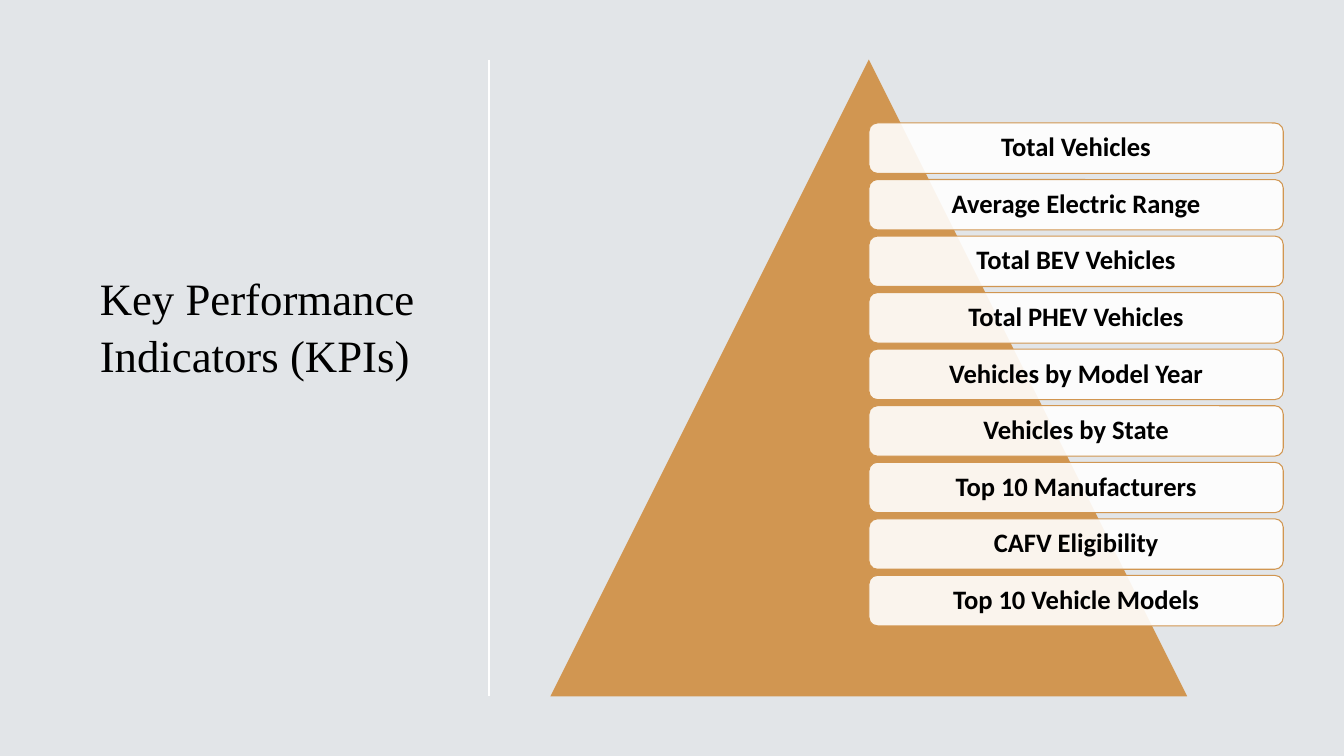
from lxml.etree import SubElement
from pptx import Presentation
from pptx.dml.color import RGBColor
from pptx.enum.shapes import MSO_CONNECTOR, MSO_SHAPE
from pptx.enum.text import MSO_ANCHOR, MSO_AUTO_SIZE, PP_ALIGN
from pptx.oxml.ns import qn
from pptx.util import Cm, Pt

INDICATORS = [
    "Total Vehicles",
    "Average Electric Range",
    "Total BEV Vehicles",
    "Total PHEV Vehicles",
    "Vehicles by Model Year",
    "Vehicles by State",
    "Top 10 Manufacturers",
    "CAFV Eligibility",
    "Top 10 Vehicle Models",
]


def color(hex_code):
    return RGBColor.from_string(hex_code)


def write(shape, text, font, size, bold=False, align=PP_ALIGN.LEFT,
          anchor=MSO_ANCHOR.TOP, spacing=1.0, ink="000000"):
    frame = shape.text_frame
    frame.word_wrap = True
    frame.auto_size = MSO_AUTO_SIZE.NONE
    frame.vertical_anchor = anchor
    para = frame.paragraphs[0]
    para.alignment = align
    para.line_spacing = spacing
    span = para.add_run()
    span.text = text
    span.font.name = font
    span.font.size = Pt(size)
    span.font.bold = bold
    span.font.color.rgb = color(ink)


class SlideBuilder:
    paper = "E2E5E8"
    white = "FFFFFF"
    accent = "D19651"
    title_font = "Times New Roman"
    label_font = "Calibri"

    def __init__(self, deck):
        self.page = deck.slides.add_slide(deck.slide_layouts[5])
        background = self.page.background.fill
        background.solid()
        background.fore_color.rgb = color(self.paper)

    def title(self, text, left, top, width, height):
        box = self.page.shapes.title
        box.left, box.top = Cm(left), Cm(top)
        box.width, box.height = Cm(width), Cm(height)
        write(box, text, self.title_font, 32, spacing=1.05)

    def divider(self, x, top, bottom):
        line = self.page.shapes.add_connector(
            MSO_CONNECTOR.STRAIGHT, Cm(x), Cm(top), Cm(x), Cm(bottom))
        line.line.color.rgb = color(self.white)
        line.line.width = Pt(1)
        SubElement(line.element.spPr, qn("a:effectLst"))

    def shape(self, kind, left, top, width, height, fill):
        shape = self.page.shapes.add_shape(
            kind, Cm(left), Cm(top), Cm(width), Cm(height))
        shape.shadow.inherit = False
        shape.fill.solid()
        shape.fill.fore_color.rgb = color(fill)
        shape.line.fill.background()
        return shape

    def triangle(self, left, top, side):
        self.shape(MSO_SHAPE.ISOSCELES_TRIANGLE, left, top, side, side, self.accent)

    def label(self, text, left, top, width, height):
        """Add a rounded, slightly see-through box with centred text."""
        box = self.shape(MSO_SHAPE.ROUNDED_RECTANGLE, left, top, width, height, self.white)
        tint = box.element.spPr.find(qn("a:solidFill"))[0]
        SubElement(tint, qn("a:alpha"), val="90000")
        box.line.color.rgb = color(self.accent)
        box.line.width = Pt(0.75)
        write(box, text, self.label_font, 19, bold=True, align=PP_ALIGN.CENTER,
              anchor=MSO_ANCHOR.MIDDLE, spacing=0.9)


def main():
    deck = Presentation()
    deck.slide_width, deck.slide_height = Cm(33.87), Cm(19.05)

    slide = SlideBuilder(deck)
    slide.title("Key Performance Indicators (KPIs)", 2.26, 6.63, 9.32, 3.78)
    slide.divider(12.32, 1.5, 17.55)
    slide.triangle(13.87, 1.5, 16.05)

    first_top, last_top = 3.1, 14.5
    step = (last_top - first_top) / (len(INDICATORS) - 1)
    for index, indicator in enumerate(INDICATORS):
        slide.label(indicator, 21.9, first_top + index * step, 10.44, 1.27)

    deck.save("out.pptx")


if __name__ == "__main__":
    main()
